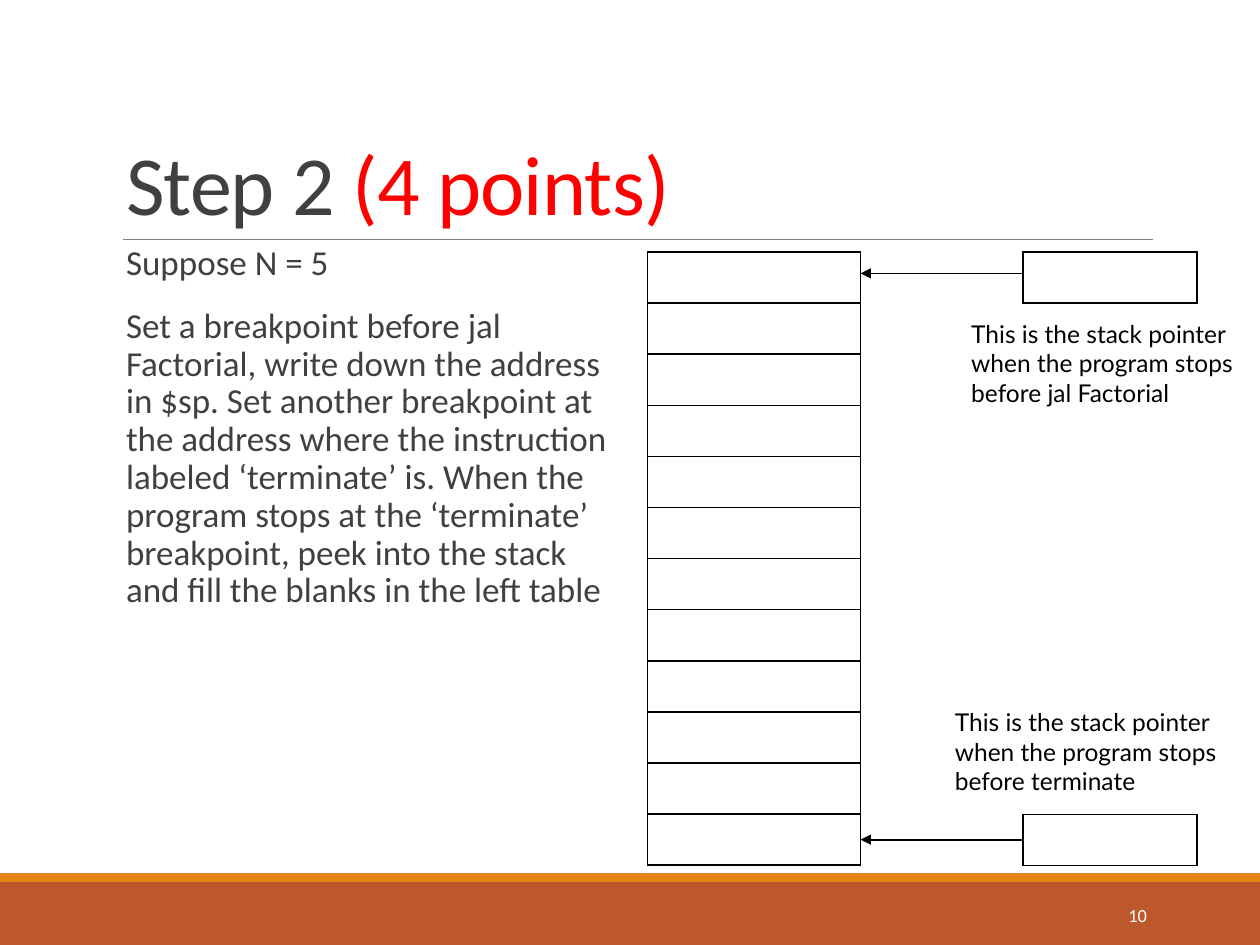
from lxml import etree
from pptx import Presentation
from pptx import util as u
from pptx.dml.color import RGBColor
from pptx.enum import shapes, text
from pptx.oxml import ns

Inches, Pt = u.Inches, u.Pt
BLACK = RGBColor(0, 0, 0)
WHITE = RGBColor(0xFF, 0xFF, 0xFF)
RED = RGBColor(0xFF, 0, 0)
INK = RGBColor(0x40, 0x40, 0x40)
GREY = RGBColor(0x80, 0x80, 0x80)
RUST = RGBColor(0xBD, 0x58, 0x2C)
ORANGE = RGBColor(0xE4, 0x83, 0x12)

ROWS, ROW_H = 12, 4.87 / 12
STACK = (5.14, 2, 1.69, ROWS * ROW_H)
BODY = [
    "Suppose N = 5",
    "Set a breakpoint before jal Factorial, write down the address in $sp. "
    "Set another breakpoint at the address where the instruction labeled "
    "‘terminate’ is. When the program stops at the ‘terminate’ breakpoint, "
    "peek into the stack and fill the blanks in the left table",
]
NOTE = "This is the stack pointer when the program stops before "


def sub(parent, tag, **attrs):
    """Append an XML child such as a:ln and return it."""
    return etree.SubElement(parent, ns.qn(tag), attrs)


def place(sp, box):
    """Move a shape to a box given in inches."""
    sp.left, sp.top, sp.width, sp.height = map(Inches, box)


def style(p, size, color, name="Calibri"):
    """Set the font of a whole paragraph."""
    p.font.size, p.font.name, p.font.color.rgb = Pt(size), name, color


def add_line(s, start, end, color, width, arrow=False):
    """Draw a straight line, with an arrowhead at its end if asked."""
    line = s.shapes.add_connector(shapes.MSO_CONNECTOR.STRAIGHT,
                                  *map(Inches, start + end))
    line.line.color.rgb, line.line.width = color, Pt(width)
    if arrow:
        sub(line.line._get_or_add_ln(), "a:tailEnd", type="triangle")
    sub(line._element.spPr, "a:effectLst")


def add_text(s, box, content, size, color, name="Calibri"):
    """Add a wrapping text box and return its frame."""
    tf = s.shapes.add_textbox(*map(Inches, box)).text_frame
    tf.word_wrap = True
    p = tf.paragraphs[0]
    p.text = content
    style(p, size, color, name)
    return tf


def add_cells(s, box, rows=1):
    """Add a one-column table of empty, black-bordered cells."""
    table = s.shapes.add_table(rows, 1, *map(Inches, box)).table
    table.first_row = table.horz_banding = False
    for cell in table.iter_cells():
        tcPr = cell._tc.get_or_add_tcPr()
        for side in ("a:lnL", "a:lnR", "a:lnT", "a:lnB"):
            fill = sub(sub(tcPr, side, w=str(Pt(1))), "a:solidFill")
            sub(fill, "a:srgbClr", val=str(BLACK))
        cell.fill.background()


def add_footer(s, box, number):
    """Draw the two footer bands and the slide number."""
    x, y, w, h = box
    for top, height, color in ((y + 0.07, h - 0.07, RUST), (y, 0.07, ORANGE)):
        sp = s.shapes.add_shape(shapes.MSO_SHAPE.RECTANGLE,
                                *map(Inches, (x, top, w, height)))
        sp.shadow.inherit = False
        sp.fill.solid()
        sp.fill.fore_color.rgb = color
        sp.line.fill.background()
    tf = add_text(s, (x + 8.12, y + 0.13, 1.08, 0.4), number, 10.5, WHITE)
    tf.vertical_anchor = text.MSO_ANCHOR.MIDDLE
    tf.paragraphs[0].alignment = text.PP_ALIGN.RIGHT


def fill_title(s, box):
    """Fill the title and rule it off below."""
    x, y, w, h = box
    sp = s.shapes.title
    place(sp, box)
    tf = sp.text_frame
    tf.auto_size, tf.vertical_anchor = text.MSO_AUTO_SIZE.NONE, text.MSO_ANCHOR.BOTTOM
    p = tf.paragraphs[0]
    p.alignment, p.line_spacing = text.PP_ALIGN.LEFT, 0.85
    p.font.size, p.font.name = Pt(48), "Calibri"
    for content, color in (("Step 2 ", INK), ("(4 points) ", RED)):
        r = p.add_run()
        r.text = content
        r.font.color.rgb = color
        r._r.get_or_add_rPr().set("spc", "-50")
    add_line(s, (x + 0.08, y + h), (x + w, y + h), GREY, 0.5)


def fill_body(s, box):
    """Fill the body with the task, under blank bullets."""
    sp = s.placeholders[1]
    place(sp, box)
    tf = sp.text_frame
    tf.auto_size = text.MSO_AUTO_SIZE.NONE
    tf.margin_left = tf.margin_right = 0
    tf.text = "\n".join(BODY)
    for p in tf.paragraphs:
        style(p, 20, INK)
        p.line_spacing, p.space_before, p.space_after = 0.9, Pt(12), Pt(2)
        pPr = p._p.get_or_add_pPr()
        pPr.set("marL", str(Inches(0.1)))
        pPr.set("indent", str(Inches(-0.1)))
        bullet = etree.Element(ns.qn("a:buChar"), char=" ")
        pPr.find(ns.qn("a:defRPr")).addprevious(bullet)


def add_pointer(s, box, arrow_dy, note_at, target):
    """Add an address cell, its arrow to the stack, and its note."""
    x, y, _, _ = box
    add_cells(s, box)
    arrow_y = y + arrow_dy
    add_line(s, (x, arrow_y), (STACK[0] + STACK[2], arrow_y), BLACK, 1, True)
    dx, dy = note_at
    add_text(s, (x + dx, y + dy, 2.37, 0.81), NOTE + target, 14, BLACK, "Lato")


def main():
    """Build and save the slide."""
    prs = Presentation()
    prs.slide_width, prs.slide_height = Inches(10), Inches(7.5)
    s = prs.slides.add_slide(prs.slide_layouts[1])
    add_footer(s, (0, 6.93, 10, 0.57), "10")
    fill_title(s, (0.9, 0.31, 8.25, 1.59))
    fill_body(s, (0.9, 1.9, 3.96, 4.4))
    add_cells(s, STACK, ROWS)
    last_y = STACK[1] + (ROWS - 1) * ROW_H
    add_pointer(s, (8.12, STACK[1], 1.38, ROW_H), 0.17, (-0.51, 0.48), "jal Factorial")
    add_pointer(s, (8.12, last_y, 1.38, ROW_H), 0.2, (-0.64, -0.9), "terminate")
    prs.save("out.pptx")


main()
